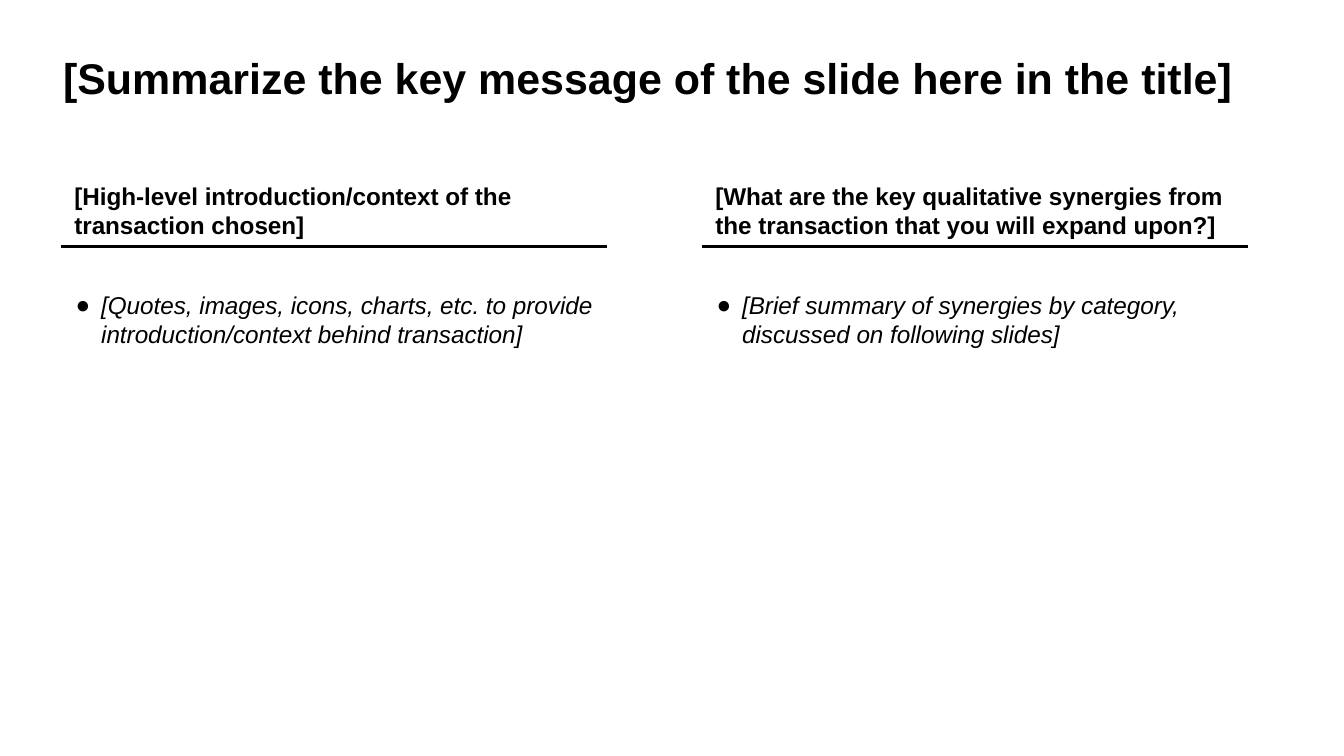
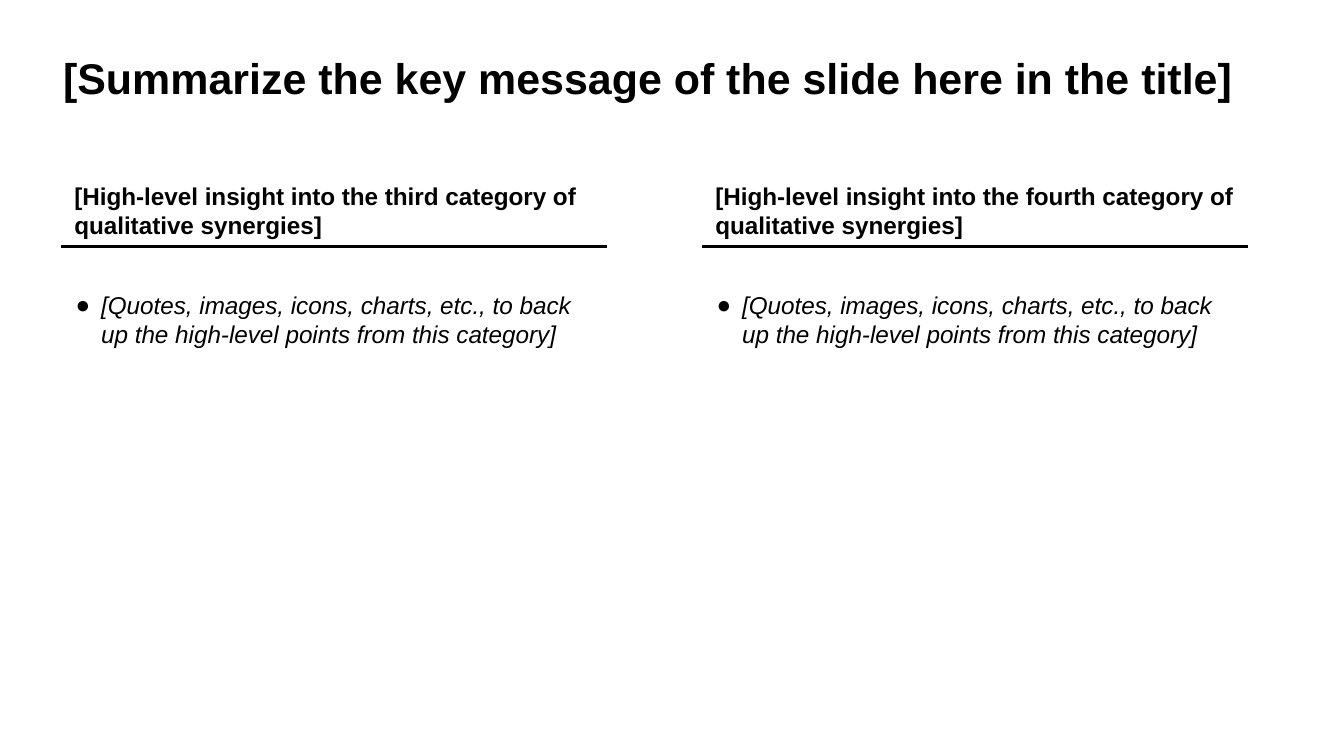
from lxml import etree
from pptx import Presentation
from pptx.dml.color import RGBColor
from pptx.enum import shapes, text
from pptx.oxml import ns
from pptx.util import Pt

TITLE = "[Summarize the key message of the slide here in the title]"
BACKUP = "[Quotes, images, icons, charts, etc., to back up the high-level points from this category]"
SLIDES = [
    [
        ("[High-level introduction/context of the transaction chosen]",
         "[Quotes, images, icons, charts, etc. to provide introduction/context behind transaction]"),
        ("[What are the key qualitative synergies from the transaction that you will expand upon?]",
         "[Brief summary of synergies by category, discussed on following slides]"),
    ],
    [
        ("[High-level insight into the third category of qualitative synergies]", BACKUP),
        ("[High-level insight into the fourth category of qualitative synergies]", BACKUP),
    ],
]

FONT, INK, PAPER = "Arial", "000000", "FFFFFF"
TITLE_SIZE, BODY_SIZE, INSET = 23, 13, 7.2
TITLE_BOX = (26.6, 20.2, 667.4, 42.5)
LEFT, COLUMN_STEP, COLUMN_WIDTH, BOX_HEIGHT = 32.6, 343.4, 292.5, 46
HEADING_TOP, RULE_TOP, BULLET_TOP = 90, 132, 148.4
COMPARISON_LAYOUT = 4


def colour(value):
    return RGBColor.from_string(value)


def fill_box(box, words, place, size, bold=False, italic=False):
    box.left, box.top, box.width, box.height = map(Pt, place)
    frame = box.text_frame
    frame.word_wrap = True
    frame.auto_size = text.MSO_AUTO_SIZE.SHAPE_TO_FIT_TEXT
    frame.vertical_anchor = text.MSO_ANCHOR.TOP
    frame.margin_left = frame.margin_right = Pt(INSET)
    frame.margin_top = frame.margin_bottom = Pt(INSET)
    para = frame.paragraphs[0]
    para.alignment = text.PP_ALIGN.LEFT
    para.space_before = Pt(0)
    span = para.add_run()
    span.text = words
    span.font.name, span.font.size = FONT, Pt(size)
    span.font.bold, span.font.italic = bold, italic
    span.font.color.rgb = colour(INK)
    return para


def add_bullet(para):
    para.space_after = Pt(12)
    props = para._p.get_or_add_pPr()
    props.set("marL", str(Pt(14.4)))
    props.set("indent", str(Pt(-13.7)))
    tint = etree.SubElement(props, ns.qn("a:buClr"))
    etree.SubElement(tint, ns.qn("a:srgbClr"), val=INK)
    etree.SubElement(props, ns.qn("a:buFont"), typeface=FONT)
    etree.SubElement(props, ns.qn("a:buChar"), char="●")


def add_rule(page, left):
    rule = page.shapes.add_connector(
        shapes.MSO_CONNECTOR.STRAIGHT,
        Pt(left), Pt(RULE_TOP), Pt(left + COLUMN_WIDTH), Pt(RULE_TOP))
    rule.line.color.rgb = colour(INK)
    rule.line.width = Pt(1.5)
    etree.SubElement(rule._element.spPr, ns.qn("a:effectLst"))


def add_page(deck, columns):
    page = deck.slides.add_slide(deck.slide_layouts[COMPARISON_LAYOUT])
    page.background.fill.solid()
    page.background.fill.fore_color.rgb = colour(PAPER)
    fill_box(page.shapes.title, TITLE, TITLE_BOX, TITLE_SIZE, bold=True)
    boxes = {box.placeholder_format.idx: box for box in page.placeholders}
    for number, (heading, bullet) in enumerate(columns):
        left = LEFT + number * COLUMN_STEP
        first = 1 + 2 * number
        fill_box(boxes[first], heading,
                 (left, HEADING_TOP, COLUMN_WIDTH, BOX_HEIGHT), BODY_SIZE, bold=True)
        add_rule(page, left)
        add_bullet(fill_box(boxes[first + 1], bullet,
                            (left, BULLET_TOP, COLUMN_WIDTH, BOX_HEIGHT),
                            BODY_SIZE, italic=True))


def main():
    """Build the two-column synergy slides and save the deck."""
    deck = Presentation()
    deck.slide_width, deck.slide_height = Pt(720), Pt(405)
    for columns in SLIDES:
        add_page(deck, columns)
    deck.save("out.pptx")


if __name__ == "__main__":
    main()
